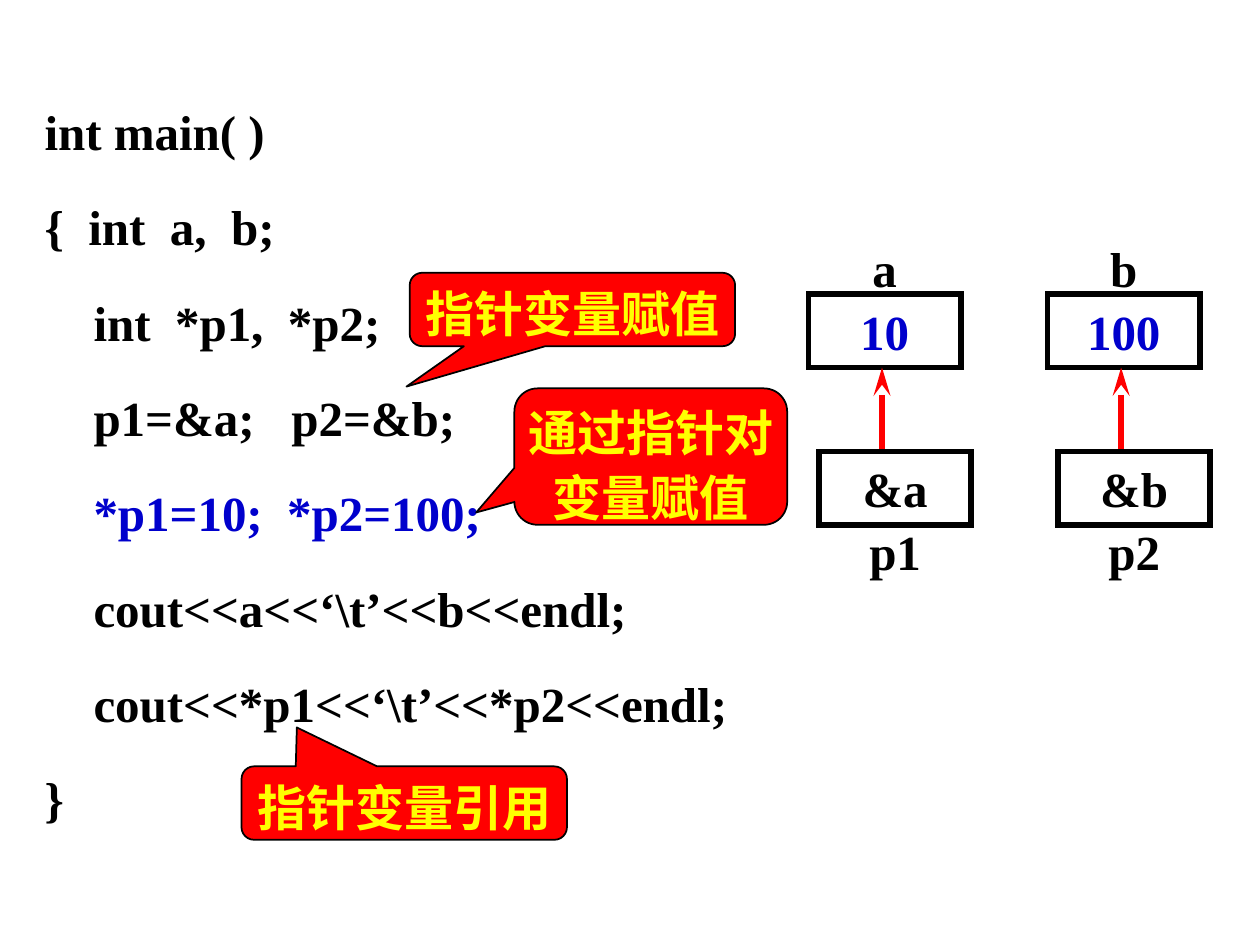
"""Build a slide on assigning and using pointer variables in C++."""
import pptx
import pptx.dml.color
import pptx.enum.shapes
import pptx.enum.text
import pptx.oxml.ns
import pptx.util
from lxml import etree

Cm, Pt = pptx.util.Cm, pptx.util.Pt
RGB = pptx.dml.color.RGBColor
SHAPE = pptx.enum.shapes.MSO_SHAPE
ALIGN = pptx.enum.text.PP_ALIGN
BLACK = RGB(0, 0, 0)
BLUE = RGB(0, 0, 0xCC)
RED = RGB(0xFF, 0, 0)
YELLOW = RGB(0xFF, 0xFF, 0)

CODE = [
    [("int main( )", BLACK)],
    [("{  int  a,  b;", BLACK)],
    [("    int  *p1,  *p2;", BLACK)],
    [("    p1=&a;   p2=&b;", BLACK)],
    [("    ", BLACK), ("*p1=10;  *p2=100;", BLUE)],
    [("    cout<<a<<‘\\t’<<b<<endl;", BLACK)],
    [("    cout<<*p1<<‘\\t’<<*p2<<endl;", BLACK)],
    [("}", BLACK)],
]
PAIRS = [("a", "10", "&a", "p1"), ("b", "100", "&b", "p2")]
NOTES = [
    ("通过指针对变量赋值", (10.37, 7.83, 5.5, 2.75), (-0.64, 0.41)),
    ("指针变量赋值", (8.26, 5.5, 6.56, 1.48), (-0.51, 1.05)),
    ("指针变量引用", (4.87, 15.45, 6.56, 1.48), (-0.33, -1.03)),
]
WIDE, HIGH, TEXT = 3.07, 1.48, 1.37
PITCH = 4.82
VAR_X, PTR_X, LINE_X = 16.3, 16.51, 17.78
VAR_Y, PTR_Y = 5.93, 9.1
RISE = 1.27


def write(shape, lines, align, side=0.05):
    frame = shape.text_frame
    frame.word_wrap = True
    frame.vertical_anchor = pptx.enum.text.MSO_ANCHOR.TOP
    frame.margin_left = frame.margin_right = Cm(side)
    frame.margin_top = frame.margin_bottom = Cm(0.03)
    for i, runs in enumerate(lines):
        para = frame.add_paragraph() if i else frame.paragraphs[0]
        para.alignment = align
        para.line_spacing = 1.1
        para.space_before = Pt(17.5 if i else 0)
        for text, color in runs:
            run = para.add_run()
            run.text = text
            run.font.name = "Times New Roman"
            run.font.size = Pt(28)
            run.font.bold = True
            run.font.color.rgb = color


def add_text(shapes, area, lines, align=ALIGN.CENTER):
    box = shapes.add_textbox(*map(Cm, area))
    write(box, lines, align)
    box.text_frame.auto_size = pptx.enum.text.MSO_AUTO_SIZE.SHAPE_TO_FIT_TEXT


def style(line, color, tag, **attrs):
    line.color.rgb = color
    line.width = Pt(3.25)
    etree.SubElement(line._get_or_add_ln(), pptx.oxml.ns.qn(tag), **attrs)


def add_cell(shapes, left, top, text, color):
    rect = shapes.add_shape(SHAPE.RECTANGLE, *map(Cm, (left, top, WIDE, HIGH)))
    rect.shadow.inherit = False
    rect.fill.background()
    style(rect.line, BLACK, "a:miter", lim="800000")
    add_text(shapes, (left, top, WIDE, TEXT), [[(text, color)]])


def add_arrow(shapes, left):
    ends = map(Cm, (left, PTR_Y, left, VAR_Y + HIGH))
    kind = pptx.enum.shapes.MSO_CONNECTOR.STRAIGHT
    arrow = shapes.add_connector(kind, *ends)
    style(arrow.line, RED, "a:tailEnd", type="stealth", w="med", len="lg")
    etree.SubElement(arrow._element.spPr, pptx.oxml.ns.qn("a:effectLst"))


def add_note(shapes, text, area, tip):
    note = shapes.add_shape(SHAPE.ROUNDED_RECTANGULAR_CALLOUT, *map(Cm, area))
    note.shadow.inherit = False
    note.adjustments[0], note.adjustments[1] = tip
    note.adjustments[2] = 0.17
    note.fill.solid()
    note.fill.fore_color.rgb = RED
    note.line.color.rgb = BLACK
    note.line.width = Pt(1)
    write(note, [[(text, YELLOW)]], ALIGN.CENTER, 0)


def main():
    deck = pptx.Presentation()
    deck.slide_width, deck.slide_height = Cm(25.4), Cm(19.05)
    shapes = deck.slides.add_slide(deck.slide_layouts[6]).shapes
    add_text(shapes, (0.85, 1.9, 14.82, 14.82), CODE, ALIGN.LEFT)
    for i, (name, value, ref, ptr) in enumerate(PAIRS):
        step = i * PITCH
        var, cell = VAR_X + step, PTR_X + step
        add_cell(shapes, var, VAR_Y, value, BLUE)
        add_text(shapes, (var, VAR_Y - RISE, WIDE, TEXT), [[(name, BLACK)]])
        add_arrow(shapes, LINE_X + step)
        add_cell(shapes, cell, PTR_Y, ref, BLACK)
        add_text(shapes, (cell, PTR_Y + RISE, WIDE, TEXT), [[(ptr, BLACK)]])
    for note in NOTES:
        add_note(shapes, *note)
    deck.save("out.pptx")


if __name__ == "__main__":
    main()
